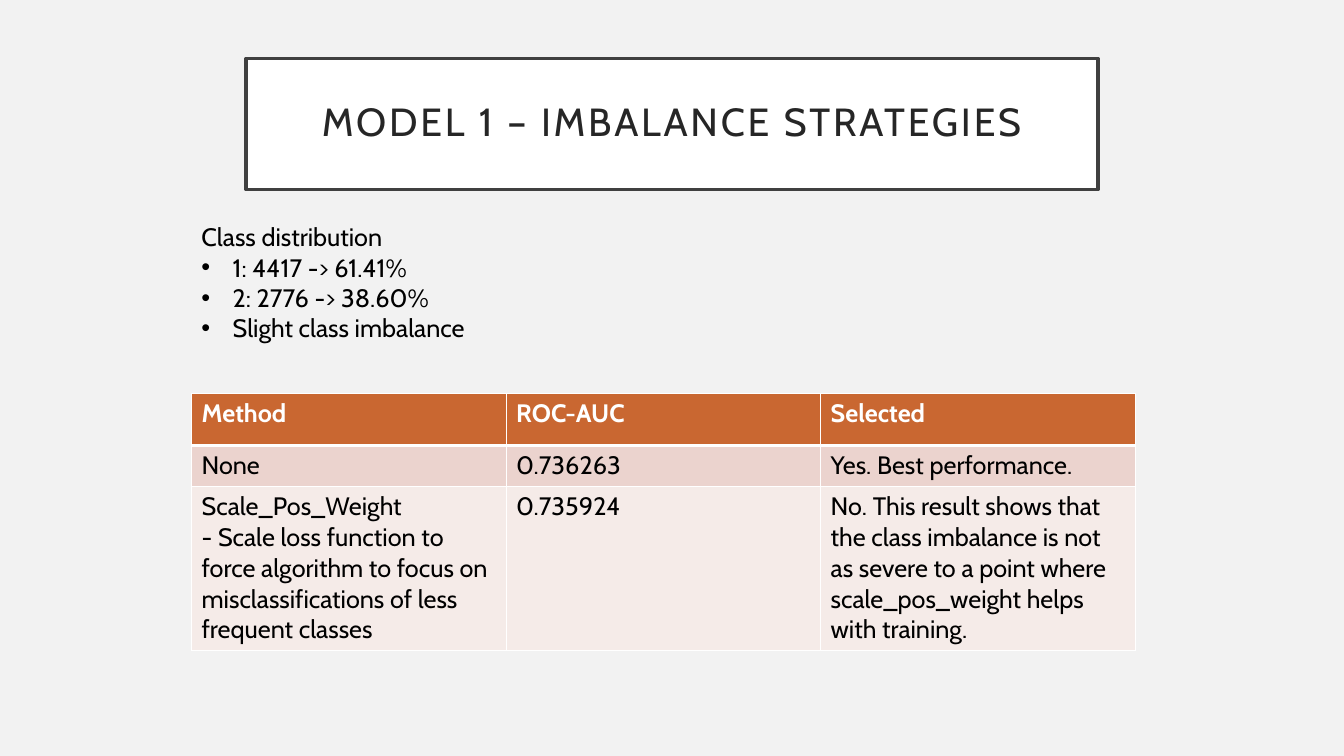
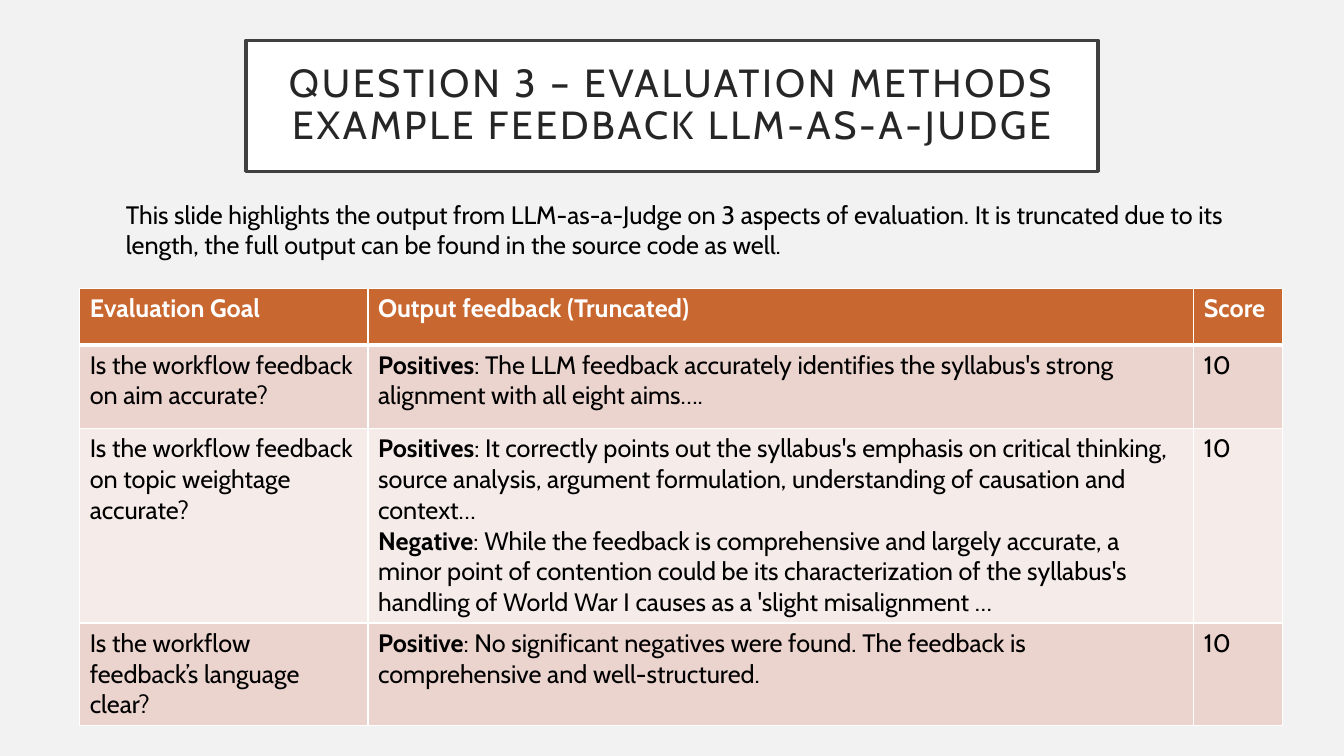
from lxml import etree
from pptx import Presentation
from pptx.dml.color import RGBColor
from pptx.enum.text import MSO_ANCHOR, MSO_AUTO_SIZE, PP_ALIGN
from pptx.oxml.ns import qn
from pptx.util import Inches, Pt

FONT = "Cabin"
BODY_SIZE = 18
COLORS = {
    "background": "F2F2F2",
    "white": "FFFFFF",
    "frame": "404040",
    "title": "262626",
    "text": "000000",
    "header": "C96731",
    "band_dark": "EBD3CE",
    "band_light": "F5EBE8",
}


def rgb(name):
    return RGBColor.from_string(COLORS[name])


def write(tf, text, size=BODY_SIZE, color="text", bold=False, align=None,
          line_spacing=None, tracking=None, bullet=None):
    for i, line in enumerate(text.split("\n")):
        p = tf.add_paragraph() if i else tf.paragraphs[0]
        p.alignment = align
        p.line_spacing = line_spacing
        if bullet and line.startswith(bullet):
            line = line[len(bullet):].lstrip()
            add_bullet(p, bullet)
        for j, part in enumerate(line.split("**")):
            if not part:
                continue
            r = p.add_run()
            r.text = part
            r.font.name = FONT
            r.font.size = Pt(size)
            r.font.bold = bold or j % 2 == 1
            r.font.color.rgb = rgb(color)
            if tracking:
                r.font._element.set("spc", str(tracking * 100))


def add_bullet(p, char, indent=0.31):
    pPr = p._p.get_or_add_pPr()
    pPr.set("marL", str(Inches(indent)))
    pPr.set("indent", str(-Inches(indent)))
    etree.SubElement(pPr, qn("a:buFont")).set("typeface", "Arial")
    etree.SubElement(pPr, qn("a:buChar")).set("char", char)


def add_title(s, text, top):
    sp = s.shapes.title
    sp.left, sp.top = Inches(2.44), Inches(top)
    sp.width, sp.height = Inches(8.45), Inches(1.3)
    sp.fill.solid()
    sp.fill.fore_color.rgb = rgb("white")
    sp.line.color.rgb = rgb("frame")
    sp.line.width = Pt(2.5)
    tf = sp.text_frame
    tf.word_wrap = True
    tf.auto_size = MSO_AUTO_SIZE.NONE
    tf.vertical_anchor = MSO_ANCHOR.MIDDLE
    tf.margin_left = tf.margin_right = Inches(0.2)
    tf.margin_top = tf.margin_bottom = Inches(0.2)
    write(tf, text, size=28, color="title", align=PP_ALIGN.CENTER,
          line_spacing=0.9, tracking=2)


def add_text(s, box, text, **fmt):
    tf = s.shapes.add_textbox(*map(Inches, box)).text_frame
    tf.word_wrap = True
    write(tf, text, **fmt)


def set_borders(cell, top=1, bottom=1):
    tcPr = cell._tc.get_or_add_tcPr()
    widths = {"a:lnL": 1, "a:lnR": 1, "a:lnT": top, "a:lnB": bottom}
    for i, (tag, width) in enumerate(widths.items()):
        ln = tcPr.makeelement(qn(tag), {"w": str(Pt(width))})
        fill = etree.SubElement(ln, qn("a:solidFill"))
        etree.SubElement(fill, qn("a:srgbClr")).set("val", COLORS["white"])
        tcPr.insert(i, ln)


def add_banded_table(s, left, top, widths, heights, rows):
    frame = s.shapes.add_table(len(rows), len(widths), Inches(left), Inches(top),
                               Inches(sum(widths)), Inches(sum(heights)))
    table = frame.table
    for column, width in zip(table.columns, widths):
        column.width = Inches(width)
    for i, (row, height, texts) in enumerate(zip(table.rows, heights, rows)):
        row.height = Inches(height)
        header = i == 0
        band = "header" if header else ("band_light", "band_dark")[i % 2]
        for cell, text in zip(row.cells, texts):
            cell.fill.solid()
            cell.fill.fore_color.rgb = rgb(band)
            set_borders(cell, top=3 if i == 1 else 1, bottom=3 if header else 1)
            write(cell.text_frame, text, color="white" if header else "text",
                  bold=header)


def add_slide(prs, title, title_top):
    s = prs.slides.add_slide(prs.slide_layouts[5])
    add_title(s, title, title_top)
    return s


def build_imbalance_slide(prs):
    s = add_slide(prs, "MODEL 1 – IMBALANCE STRATEGIES", 0.58)
    add_banded_table(s, 1.9, 3.9, [3.12] * 3, [0.52, 0.4, 1.63], [
        ["Method", "ROC-AUC", "Selected"],
        ["None", "0.736263", "Yes. Best performance."],
        ["Scale_Pos_Weight\n- Scale loss function to force algorithm to focus on "
         "misclassifications of less frequent classes",
         "0.735924",
         "No. This result shows that the class imbalance is not as severe to a "
         "point where scale_pos_weight helps with training."],
    ])
    add_text(s, (1.9, 2.15, 9.37, 1.31),
             "Class distribution\n• 1: 4417 -> 61.41%\n• 2: 2776 -> 38.60%\n"
             "• Slight class imbalance", bullet="•")


def build_feedback_slide(prs):
    s = add_slide(prs, "QUESTION 3 – EVALUATION METHODS EXAMPLE FEEDBACK "
                       "LLM-AS-A-JUDGE", 0.4)
    add_banded_table(s, 0.79, 2.86, [2.86, 8.19, 0.88], [0.56, 0.83, 1.93, 1.01], [
        ["Evaluation Goal", "Output feedback (Truncated)", "Score"],
        ["Is the workflow feedback on aim accurate?",
         "**Positives**: The LLM feedback accurately identifies the syllabus's "
         "strong alignment with all eight aims….",
         "10"],
        ["Is the workflow feedback on topic weightage accurate?",
         "**Positives**: It correctly points out the syllabus's emphasis on "
         "critical thinking, source analysis, argument formulation, understanding "
         "of causation and context…\n"
         "**Negative**: While the feedback is comprehensive and largely accurate, "
         "a minor point of contention could be its characterization of the "
         "syllabus's handling of World War I causes as a 'slight misalignment …",
         "10"],
        ["Is the workflow feedback’s language clear?",
         "**Positive**: No significant negatives were found. The feedback is "
         "comprehensive and well-structured.",
         "10"],
    ])
    add_text(s, (1.15, 1.93, 11.22, 0.71),
             "This slide highlights the output from LLM-as-a-Judge on 3 aspects of "
             "evaluation. It is truncated due to its length, the full output can be "
             "found in the source code as well.")


def main():
    prs = Presentation()
    prs.slide_width, prs.slide_height = Inches(13.33), Inches(7.5)
    background = prs.slide_master.background.fill
    background.solid()
    background.fore_color.rgb = rgb("background")
    build_imbalance_slide(prs)
    build_feedback_slide(prs)
    prs.save("out.pptx")


if __name__ == "__main__":
    main()
